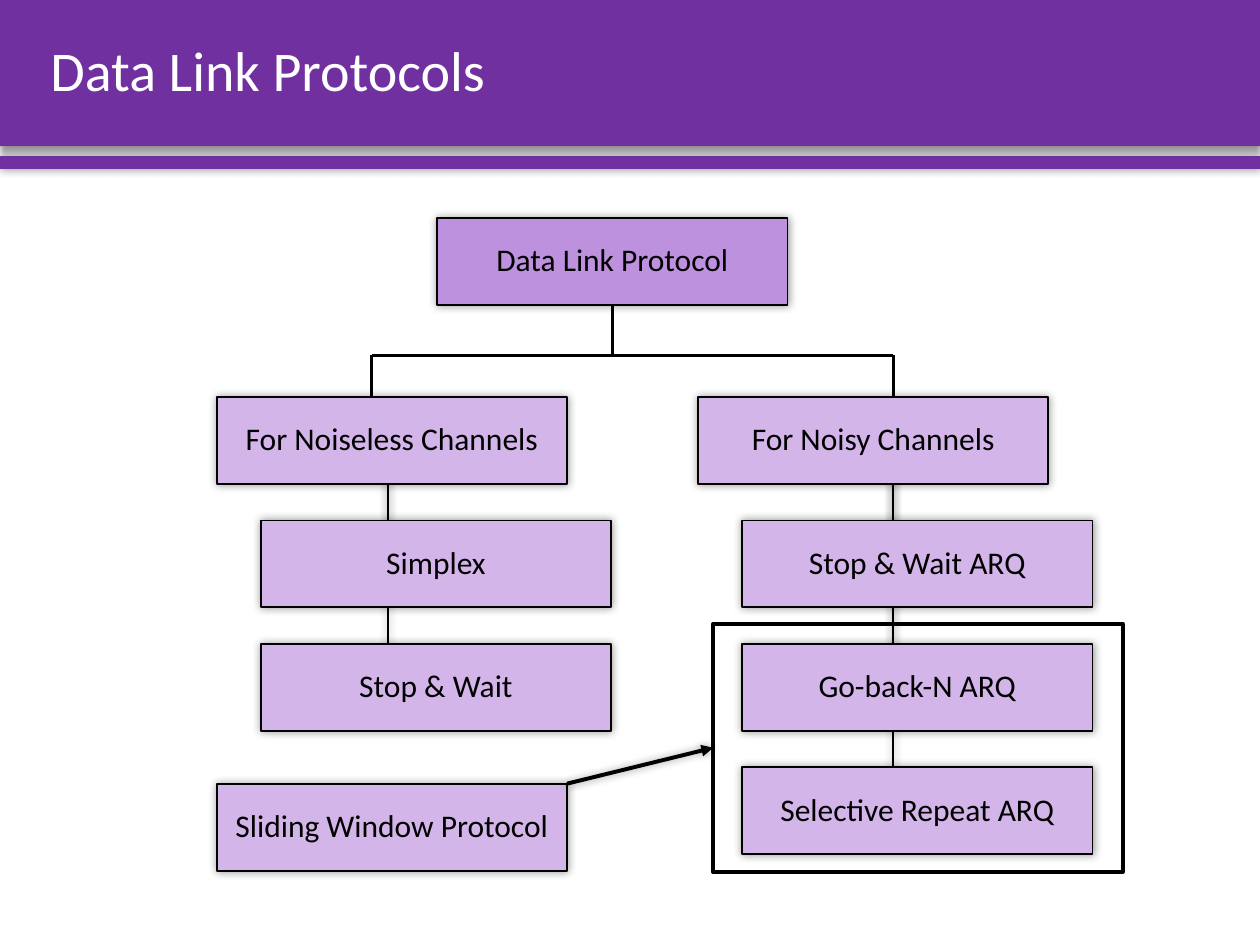
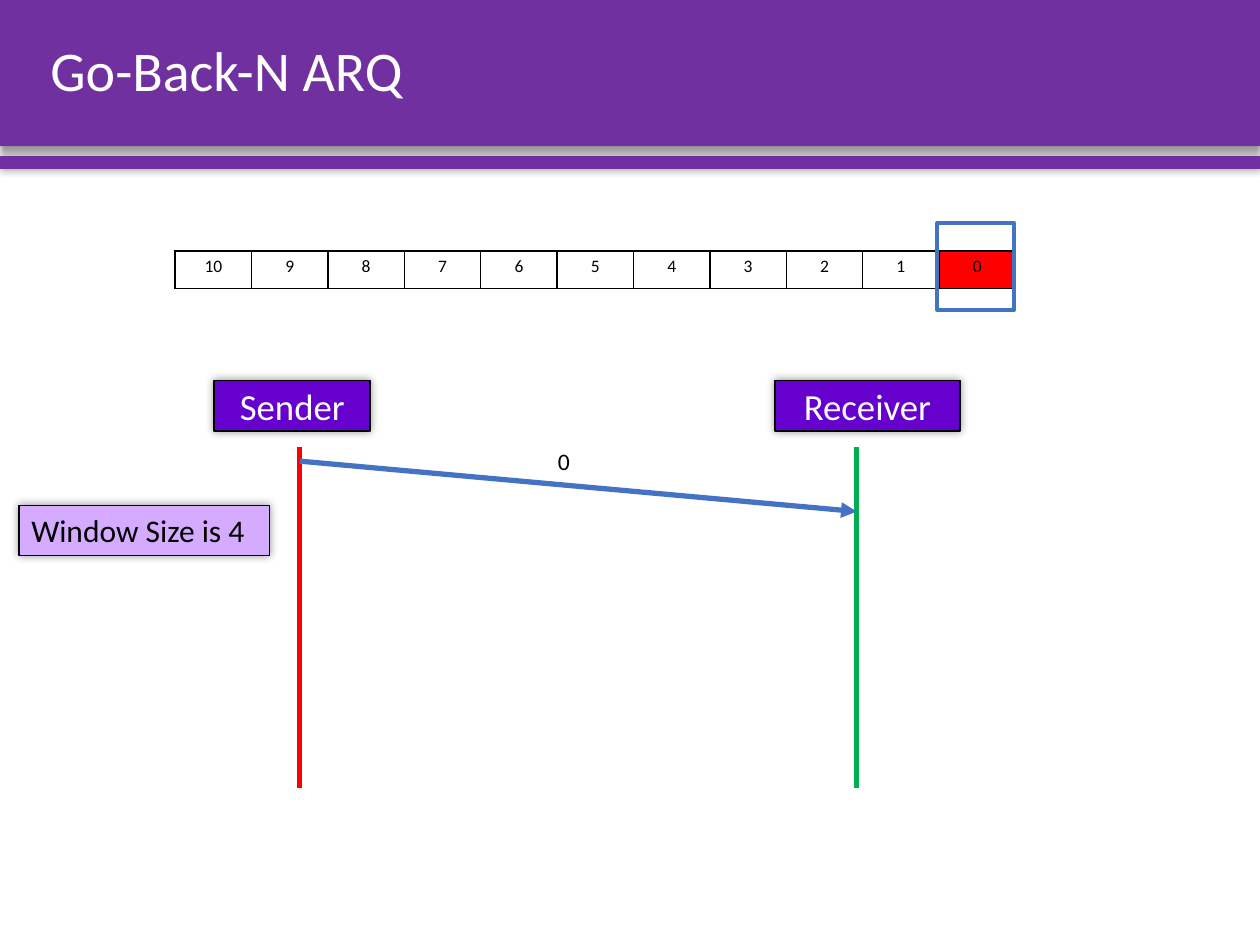
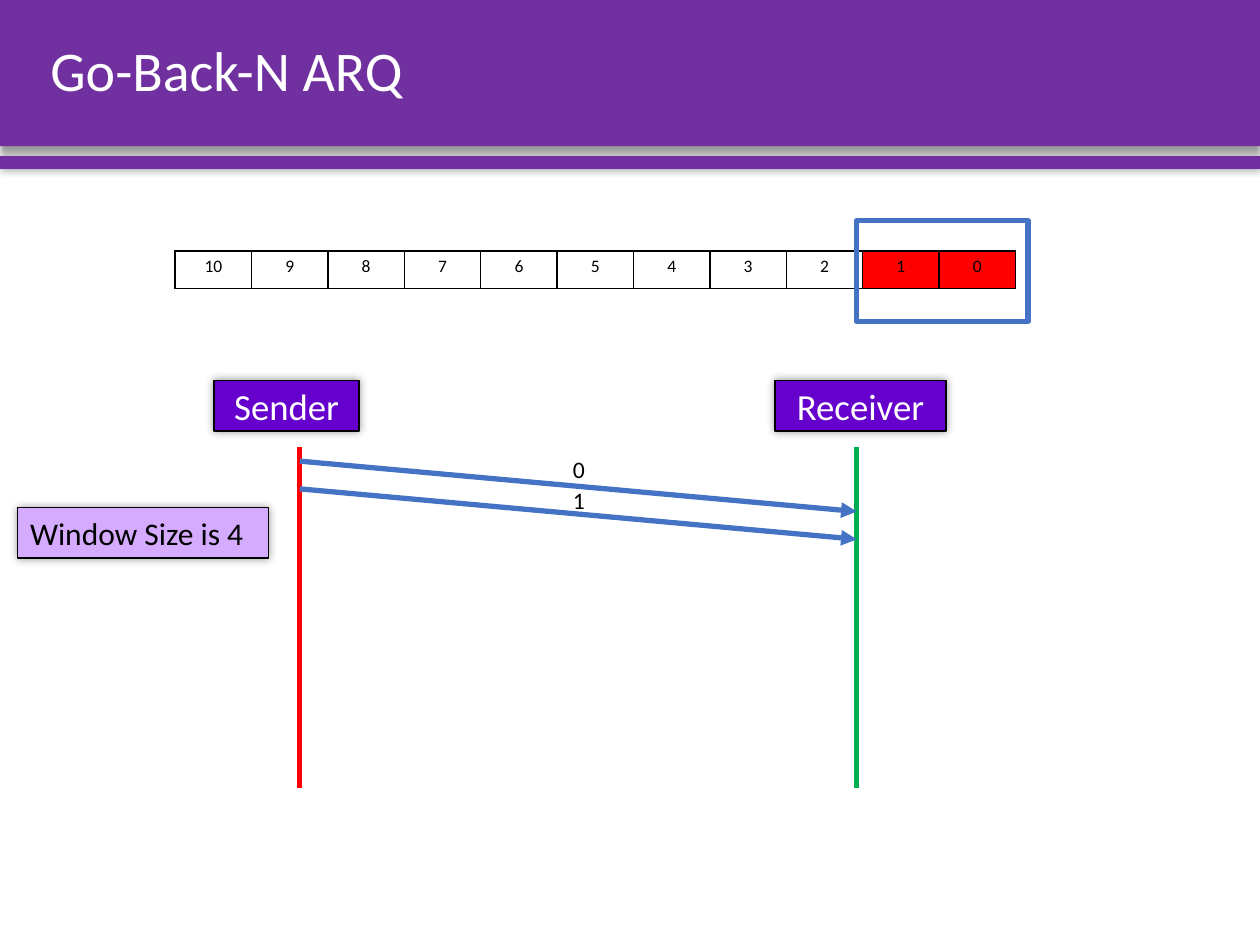
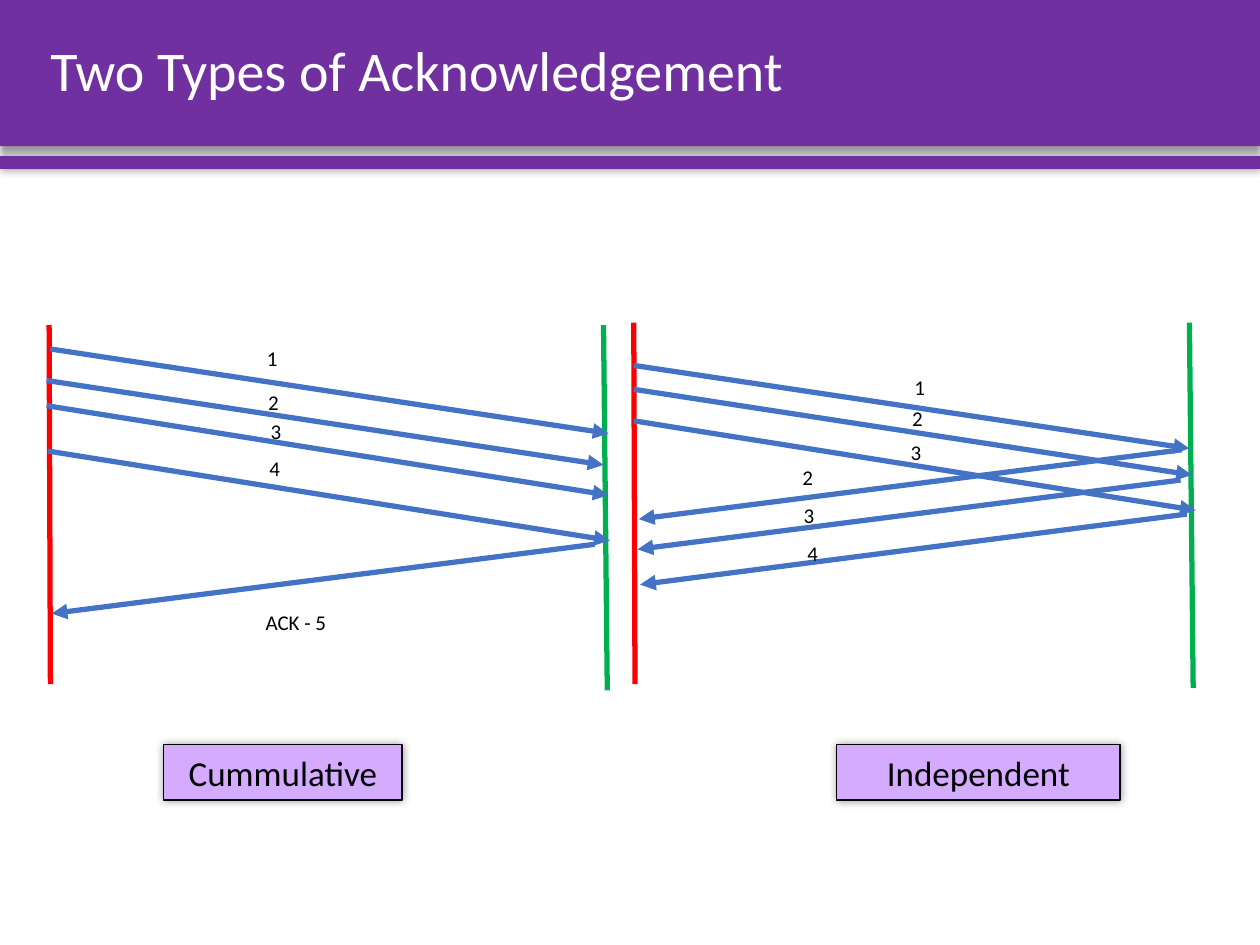
from dataclasses import dataclass
from typing import Any, NamedTuple, Optional

import lxml.etree
import pptx
import pptx.dml.color
import pptx.enum.shapes
import pptx.enum.text
import pptx.oxml.ns
import pptx.util

Inches = pptx.util.Inches
Pt = pptx.util.Pt
Align = pptx.enum.text.PP_ALIGN
Connector = pptx.enum.shapes.MSO_CONNECTOR
Preset = pptx.enum.shapes.MSO_SHAPE


@dataclass(frozen=True)
class Theme:
    font: str = "Calibri"
    black: str = "000000"
    white: str = "FFFFFF"
    band: str = "7030A0"
    root: str = "BE91DF"
    node: str = "D3B5E9"
    host: str = "6600CC"
    note: str = "D5ABFF"
    sender: str = "FF0000"
    receiver: str = "00B050"
    arrow: str = "4472C4"
    title_size: float = 32
    host_size: float = 21
    caption_size: float = 20
    node_size: float = 18
    packet_size: float = 13.5
    label_size: float = 12
    cell_size: float = 10
    thin: float = 0.75
    outline: float = 1
    tree: float = 1.5
    frame: float = 2.25
    thick: float = 3


THEME = Theme()


class Area(NamedTuple):
    left: float
    top: float
    width: float
    height: float


class Point(NamedTuple):
    x: float
    y: float


class Shadow(NamedTuple):
    blur: float
    distance: float
    direction: int


GLOW = Shadow(5, 0, 0)
DROP = Shadow(4, 3, 90)


@dataclass(frozen=True)
class Style:
    fill: Optional[str] = None
    line: Optional[str] = THEME.black
    width: float = THEME.outline
    shadow: Optional[Shadow] = GLOW
    size: float = THEME.node_size
    color: str = THEME.black
    align: Any = Align.CENTER
    inset: Optional[float] = None
    spacing: Optional[float] = None
    grow: bool = False


ROOT = Style(fill=THEME.root, inset=0.01, spacing=0.9)
NODE = Style(fill=THEME.node, inset=0.01, spacing=0.9)
HOST = Style(fill=THEME.host, size=THEME.host_size, color=THEME.white)
NOTE = Style(fill=THEME.note, width=THEME.thin, align=Align.LEFT, grow=True)
CAPTION = Style(fill=THEME.note, width=THEME.thin, size=THEME.caption_size, grow=True)
SLIDING_FRAME = Style(width=THEME.frame, shadow=None)


@dataclass(frozen=True)
class Line:
    start: Point
    end: Point
    color: str = THEME.arrow
    width: float = THEME.thick
    head: bool = False
    shadow: Optional[Shadow] = None


@dataclass(frozen=True)
class Label:
    text: str
    left: float
    top: float
    width: float = 0.2


@dataclass(frozen=True)
class Branch:
    left: float
    stem: float
    title: str
    children: tuple[str, ...]


@dataclass(frozen=True)
class WindowStep:
    sent: int
    host_widths: tuple[float, float]
    label_left: float
    label_tops: tuple[float, ...]
    frame: Area
    frame_width: float
    note: Area


@dataclass(frozen=True)
class Exchange:
    caption: str
    caption_area: Area
    lifelines: tuple[Line, Line]
    arrows: tuple[tuple[Point, Point], ...]
    labels: tuple[Label, ...]


def rgb(color: str) -> Any:
    return pptx.dml.color.RGBColor.from_string(color)


def add_xml(parent: Any, tag: str, **attributes: Any) -> Any:
    values = {name: str(value) for name, value in attributes.items()}
    return lxml.etree.SubElement(parent, pptx.oxml.ns.qn(tag), values)


def add_color(parent: Any, color: str) -> Any:
    return add_xml(add_xml(parent, "a:solidFill"), "a:srgbClr", val=color)


def set_shadow(shape: Any, shadow: Optional[Shadow]) -> None:
    effects = add_xml(shape.element.spPr, "a:effectLst")
    if shadow:
        outer = add_xml(effects, "a:outerShdw", blurRad=Pt(shadow.blur),
                        dist=Pt(shadow.distance), dir=shadow.direction * 60000,
                        algn="ctr", rotWithShape=0)
        color = add_xml(outer, "a:srgbClr", val=THEME.black)
        add_xml(color, "a:alpha", val=40000)


def paint(shape: Any, style: Style) -> None:
    if style.fill:
        shape.fill.solid()
        shape.fill.fore_color.rgb = rgb(style.fill)
    else:
        shape.fill.background()
    if style.line:
        shape.line.color.rgb = rgb(style.line)
        shape.line.width = Pt(style.width)
    else:
        shape.line.fill.background()
    set_shadow(shape, style.shadow)


def write(frame: Any, text: str, size: float, color: str = THEME.black,
          align: Any = Align.CENTER, spacing: Optional[float] = None) -> Any:
    paragraph = frame.paragraphs[0]
    paragraph.alignment = align
    if spacing:
        paragraph.line_spacing = spacing
    run = paragraph.add_run()
    run.text = text
    run.font.name = THEME.font
    run.font.size = Pt(size)
    run.font.color.rgb = rgb(color)
    return run


def add_box(slide: Any, area: Area, style: Style, text: str = "") -> Any:
    shape = slide.shapes.add_shape(Preset.RECTANGLE, *map(Inches, area))
    paint(shape, style)
    if text:
        frame = shape.text_frame
        frame.word_wrap = True
        if style.grow:
            frame.auto_size = pptx.enum.text.MSO_AUTO_SIZE.SHAPE_TO_FIT_TEXT
        if style.inset is not None:
            frame.margin_left = frame.margin_right = Inches(style.inset)
            frame.margin_top = frame.margin_bottom = Inches(style.inset)
        write(frame, text, style.size, style.color, style.align, style.spacing)
    return shape


def add_line(slide: Any, line: Line) -> Any:
    connector = slide.shapes.add_connector(
        Connector.STRAIGHT, *map(Inches, (*line.start, *line.end)))
    connector.line.color.rgb = rgb(line.color)
    connector.line.width = Pt(line.width)
    if line.head:
        add_xml(connector.line._get_or_add_ln(), "a:tailEnd", type="triangle")
    set_shadow(connector, line.shadow)
    return connector


def add_bracket(slide: Any, start: Point, bottom: float, arm: float) -> None:
    builder = slide.shapes.build_freeform(Inches(start.x), Inches(start.y))
    builder.add_line_segments(
        [(Inches(start.x), Inches(bottom)), (Inches(start.x + arm), Inches(bottom))],
        close=False)
    paint(builder.convert_to_shape(), Style())


def add_label(slide: Any, label: Label) -> None:
    box = slide.shapes.add_textbox(
        *map(Inches, (label.left, label.top, label.width, 0.3)))
    box.text_frame.word_wrap = True
    box.text_frame.auto_size = pptx.enum.text.MSO_AUTO_SIZE.SHAPE_TO_FIT_TEXT
    write(box.text_frame, label.text, THEME.label_size, align=Align.LEFT)


def add_packet_number(slide: Any, text: str, left: float, top: float) -> None:
    box = slide.shapes.add_textbox(*map(Inches, (left, top, 1.77, 0.44)))
    box.text_frame.word_wrap = True
    box.text_frame.vertical_anchor = pptx.enum.text.MSO_ANCHOR.MIDDLE
    run = write(box.text_frame, text, THEME.packet_size)
    properties = run.font._element
    outline = add_xml(properties, "a:ln", w=Pt(THEME.thin))
    add_color(outline, THEME.black)
    properties.insert(0, outline)


def add_bands(slide: Any) -> None:
    layout_tree = slide.slide_layout.shapes.element
    bands = ((Area(0, 0, 10, 1.16), DROP), (Area(0, 1.24, 10, 0.1), GLOW))
    for index, (area, shadow) in enumerate(bands):
        band = add_box(slide, area, Style(fill=THEME.band, line=None, shadow=shadow))
        layout_tree.insert(2 + index, band.element)


def add_slide(presentation: Any, title: str) -> Any:
    slide = presentation.slides.add_slide(presentation.slide_layouts[5])
    if len(presentation.slides) == 1:
        add_bands(slide)
    shape = slide.shapes.title
    shape.left, shape.top, shape.width, shape.height = map(Inches, (0.3, 0, 9.46, 1.16))
    shape.text_frame.auto_size = pptx.enum.text.MSO_AUTO_SIZE.NONE
    shape.text_frame.vertical_anchor = pptx.enum.text.MSO_ANCHOR.MIDDLE
    write(shape.text_frame, title, THEME.title_size, THEME.white, Align.LEFT, 0.9)
    return slide


BRANCHES = (
    Branch(1.72, 3.08, "For Noiseless Channels", ("Simplex", "Stop & Wait")),
    Branch(5.54, 7.09, "For Noisy Channels",
           ("Stop & Wait ARQ", "Go-back-N ARQ", "Selective Repeat ARQ")),
)


def build_protocol_tree(presentation: Any) -> None:
    slide = add_slide(presentation, "Data Link Protocols")
    width, height, branch_top, pitch, indent = 2.78, 0.69, 3.15, 0.98, 0.35
    for branch in BRANCHES:
        tops = [branch_top + pitch * (row + 1) for row in range(len(branch.children))]
        for top in reversed(tops):
            add_bracket(slide, Point(branch.stem, 3.65), top + 0.16, 0.21)
        add_box(slide, Area(branch.left, branch_top, width, height), NODE, branch.title)
        for top, child in zip(tops, branch.children):
            add_box(slide, Area(branch.left + indent, top, width, height), NODE, child)

    root = add_box(slide, Area(3.47, 1.73, width, height), ROOT, "Data Link Protocol")
    bar, left, right = 2.82, 2.95, 7.09
    trunk = Line(Point(4.86, 2.42), Point(4.86, bar), THEME.black, THEME.tree)
    add_line(slide, trunk).begin_connect(root, 2)
    for start, end in (
        (Point(left, bar), Point(right, bar)),
        (Point(left, bar), Point(left, branch_top)),
        (Point(right, bar), Point(right, branch_top)),
    ):
        add_line(slide, Line(start, end, THEME.black, THEME.tree))

    add_box(slide, Area(1.72, 6.22, width, height), NODE, "Sliding Window Protocol")
    pointer = add_line(slide, Line(Point(4.5, 6.22), Point(5.66, 5.93), THEME.black,
                                   THEME.frame, head=True, shadow=GLOW))
    sliding_frame = add_box(slide, Area(5.66, 4.95, 3.25, 1.97), SLIDING_FRAME)
    pointer.end_connect(sliding_frame, 1)


def add_sequence_table(slide: Any, sent: int) -> None:
    count = 11
    table = slide.shapes.add_table(
        1, count, *map(Inches, (1.39, 1.99, 6.67, 0.3))).table
    table.first_row = table.horz_banding = False
    for index, cell in enumerate(table.rows[0].cells):
        number = count - 1 - index
        cell.margin_left = cell.margin_right = Inches(0.07)
        cell.margin_top = cell.margin_bottom = Inches(0.04)
        write(cell.text_frame, str(number), THEME.cell_size)
        properties = cell._tc.get_or_add_tcPr()
        for side in ("a:lnL", "a:lnR", "a:lnT", "a:lnB"):
            add_color(add_xml(properties, side, w=Pt(THEME.outline)), THEME.black)
        if number < sent:
            cell.fill.solid()
            cell.fill.fore_color.rgb = rgb(THEME.sender)
        else:
            cell.fill.background()


WINDOW_STEPS = (
    WindowStep(1, (1.24, 1.47), 3.59, (3.44,), Area(7.44, 1.77, 0.61, 0.69),
               THEME.frame, Area(0.15, 4.01, 1.99, 0.4)),
    WindowStep(2, (1.15, 1.36), 3.71, (3.5, 3.75), Area(6.8, 1.75, 1.36, 0.8),
               THEME.thick, Area(0.14, 4.03, 1.99, 0.4)),
)


def build_window_step(presentation: Any, step: WindowStep) -> None:
    slide = add_slide(presentation, "Go-Back-N ARQ")
    sender_x, receiver_x = 2.38, 6.8
    hosts = (
        ("Sender", 1.7, sender_x, THEME.sender),
        ("Receiver", 6.15, receiver_x, THEME.receiver),
    )
    for (name, left, x, color), width in zip(hosts, step.host_widths):
        add_line(slide, Line(Point(x, 3.55), Point(x, 6.25), color))
        add_box(slide, Area(left, 3.02, width, 0.4), HOST, name)
    add_sequence_table(slide, step.sent)
    for packet, label_top in enumerate(step.label_tops):
        y = 3.66 + 0.22 * packet
        add_line(slide, Line(Point(sender_x, y), Point(receiver_x, y + 0.4), head=True))
        add_packet_number(slide, str(packet), step.label_left, label_top)
    add_box(slide, step.frame,
            Style(line=THEME.arrow, width=step.frame_width, shadow=None))
    add_box(slide, step.note, NOTE, "Window Size is 4")


EXCHANGES = (
    Exchange(
        "Cummulative", Area(1.3, 5.91, 1.89, 0.44),
        (Line(Point(0.39, 2.58), Point(0.4, 5.43), THEME.sender),
         Line(Point(4.79, 2.58), Point(4.82, 5.48), THEME.receiver)),
        ((Point(0.4, 2.77), Point(4.83, 3.44)),
         (Point(0.37, 3.02), Point(4.79, 3.69)),
         (Point(0.37, 3.22), Point(4.83, 3.93)),
         (Point(0.38, 3.58), Point(4.84, 4.29)),
         (Point(4.72, 4.32), Point(0.41, 4.87))),
        (Label("1", 2.02, 2.69), Label("2", 2.03, 3.04), Label("3", 2.05, 3.27),
         Label("4", 2.04, 3.57), Label("ACK - 5", 2.01, 4.79, 0.87)),
    ),
    Exchange(
        "Independent", Area(6.64, 5.91, 2.25, 0.44),
        (Line(Point(5.03, 2.56), Point(5.04, 5.43), THEME.sender),
         Line(Point(9.44, 2.56), Point(9.47, 5.46), THEME.receiver)),
        ((Point(5.03, 2.9), Point(9.44, 3.56)),
         (Point(5.03, 3.09), Point(9.46, 3.77)),
         (Point(5.03, 3.34), Point(9.49, 4.05)),
         (Point(9.38, 3.57), Point(5.07, 4.12)),
         (Point(9.37, 3.81), Point(5.06, 4.36)),
         (Point(9.42, 4.08), Point(5.08, 4.64))),
        (Label("1", 7.16, 2.92), Label("2", 7.14, 3.17), Label("3", 7.13, 3.44),
         Label("2", 6.27, 3.64), Label("3", 6.28, 3.94), Label("4", 6.31, 4.24)),
    ),
)


def build_acknowledgements(presentation: Any) -> None:
    slide = add_slide(presentation, "Two Types of Acknowledgement")
    for exchange in EXCHANGES:
        add_box(slide, exchange.caption_area, CAPTION, exchange.caption)
        for lifeline in exchange.lifelines:
            add_line(slide, lifeline)
        for start, end in exchange.arrows:
            add_line(slide, Line(start, end, head=True))
        for label in exchange.labels:
            add_label(slide, label)


def main() -> None:
    presentation = pptx.Presentation()
    presentation.slide_width = Inches(10)
    presentation.slide_height = Inches(7.5)
    build_protocol_tree(presentation)
    for step in WINDOW_STEPS:
        build_window_step(presentation, step)
    build_acknowledgements(presentation)
    presentation.save("out.pptx")


if __name__ == "__main__":
    main()
